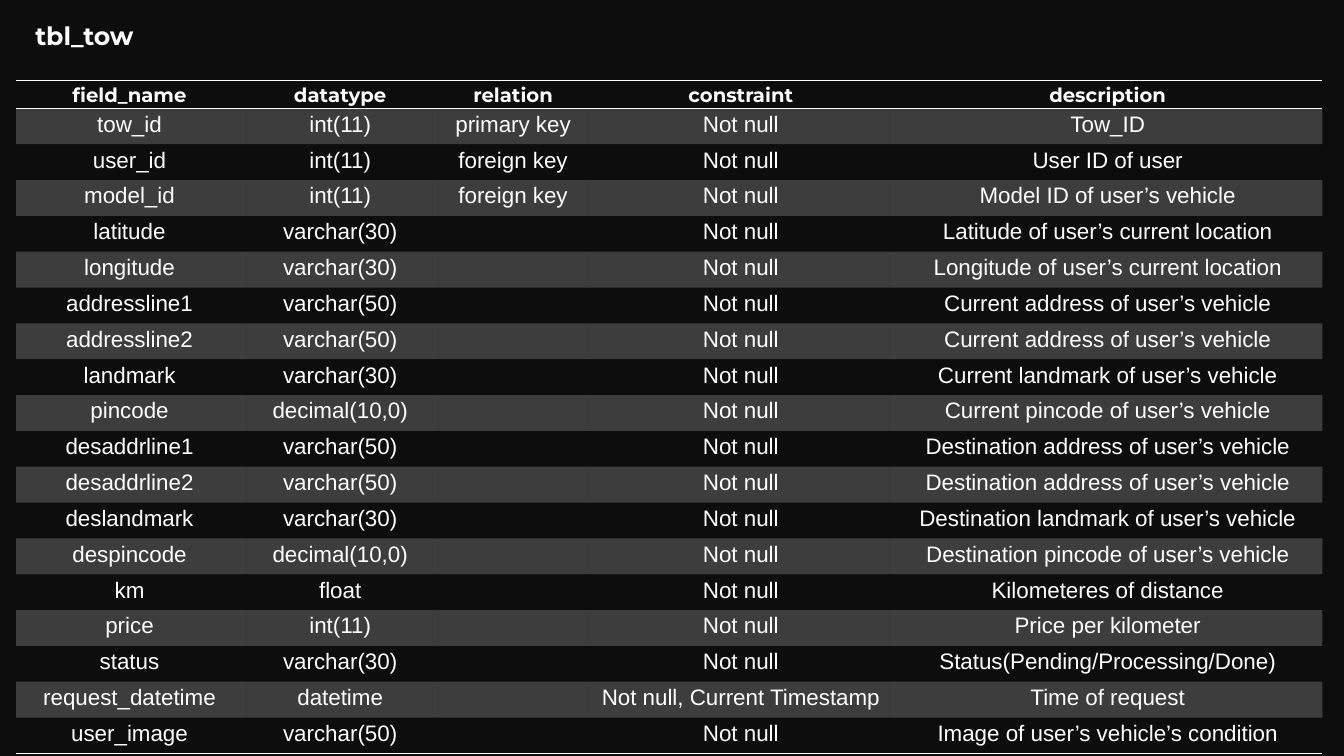
from lxml.etree import SubElement
from pptx import Presentation
from pptx.dml.color import RGBColor
from pptx.enum.text import MSO_ANCHOR, MSO_AUTO_SIZE, PP_ALIGN
from pptx.oxml.ns import qn
from pptx.util import Pt

WHITE = RGBColor(0xFF, 0xFF, 0xFF)
NIGHT = RGBColor(0x0D, 0x0D, 0x0D)
PLAIN_TABLE_STYLE = "{2D5ABB26-0587-4C30-8999-92F81FD0307C}"
HEADINGS = ("field_name", "datatype", "relation", "constraint", "description")
COLUMN_WIDTHS = (162, 139, 108, 217.4, 306.7)
FIELDS = (
    ("tow_id", "int(11)", "primary key", "Not null", "Tow_ID"),
    ("user_id", "int(11)", "foreign key", "Not null", "User ID of user"),
    ("model_id", "int(11)", "foreign key", "Not null", "Model ID of user’s vehicle"),
    ("latitude", "varchar(30)", "", "Not null", "Latitude of user’s current location"),
    ("longitude", "varchar(30)", "", "Not null", "Longitude of user’s current location"),
    ("addressline1", "varchar(50)", "", "Not null", "Current address of user’s vehicle"),
    ("addressline2", "varchar(50)", "", "Not null", "Current address of user’s vehicle"),
    ("landmark", "varchar(30)", "", "Not null", "Current landmark of user’s vehicle"),
    ("pincode", "decimal(10,0)", "", "Not null", "Current pincode of user’s vehicle"),
    ("desaddrline1", "varchar(50)", "", "Not null", "Destination address of user’s vehicle"),
    ("desaddrline2", "varchar(50)", "", "Not null", "Destination address of user’s vehicle"),
    ("deslandmark", "varchar(30)", "", "Not null", "Destination landmark of user’s vehicle"),
    ("despincode", "decimal(10,0)", "", "Not null", "Destination pincode of user’s vehicle"),
    ("km", "float", "", "Not null", "Kilometeres of distance"),
    ("price", "int(11)", "", "Not null", "Price per kilometer"),
    ("status", "varchar(30)", "", "Not null", "Status(Pending/Processing/Done)"),
    ("request_datetime", "datetime", "", "Not null, Current Timestamp", "Time of request"),
    ("user_image", "varchar(50)", "", "Not null", "Image of user’s vehicle’s condition"),
)


def write(para, text, size=16, font="Arial", bold=False, align=PP_ALIGN.CENTER, spacing=1.15, after=10):
    """Write one formatted span of text into a paragraph."""
    para.alignment = align
    para.line_spacing = spacing
    para.space_before = Pt(0)
    para.space_after = Pt(after)
    if text:
        span = para.add_run()
        span.text = text
        span.font.size = Pt(size)
        span.font.name = font
        span.font.bold = bold
        span.font.color.rgb = WHITE


class SchemaPage:
    """Hold the style and the current slide of a schema deck."""

    heading_font = "Montserrat"
    band_opacity = 20
    rule_width = 1

    def __init__(self, deck):
        """Add a dark title-only slide to the deck."""
        self.page = deck.slides.add_slide(deck.slide_layouts[5])
        self.page.background.fill.solid()
        self.page.background.fill.fore_color.rgb = NIGHT

    def title(self, text, left, top, width, height):
        """Place and format the slide title."""
        box = self.page.shapes.title
        box.left, box.top, box.width, box.height = Pt(left), Pt(top), Pt(width), Pt(height)
        frame = box.text_frame
        frame.word_wrap = False
        frame.auto_size = MSO_AUTO_SIZE.NONE
        frame.vertical_anchor = MSO_ANCHOR.MIDDLE
        write(frame.paragraphs[0], text, size=18, font=self.heading_font, bold=True,
              align=PP_ALIGN.LEFT, spacing=1.0, after=0)

    def rule(self, cell, side):
        """Draw a white border on one side of a cell."""
        line = SubElement(cell._tc.get_or_add_tcPr(), qn(f"a:ln{side}"), w=str(Pt(self.rule_width)))
        fill = SubElement(line, qn("a:solidFill"))
        SubElement(fill, qn("a:srgbClr"), val=str(WHITE))

    def shade(self, cell):
        """Fill a cell with translucent white."""
        cell.fill.solid()
        cell.fill.fore_color.rgb = WHITE
        color = cell._tc.tcPr.find(f"{qn('a:solidFill')}/{qn('a:srgbClr')}")
        SubElement(color, qn("a:alpha"), val=str(self.band_opacity * 1000))

    def table(self, headings, records, left, top, widths, heading_height, row_height):
        """Add a table with ruled headings and shaded alternate rows."""
        rows = (headings, *records)
        height = heading_height + row_height * len(records)
        frame = self.page.shapes.add_table(
            len(rows), len(widths), Pt(left), Pt(top), Pt(sum(widths)), Pt(height))
        table = frame.table
        table.horz_banding = False
        table._tbl.tblPr.find(qn("a:tableStyleId")).text = PLAIN_TABLE_STYLE
        for column, width in zip(table.columns, widths):
            column.width = Pt(width)
        for number, texts in enumerate(rows):
            heading = number == 0
            table.rows[number].height = Pt(row_height if number else heading_height)
            for position, text in enumerate(texts):
                cell = table.cell(number, position)
                cell.margin_left = cell.margin_right = Pt(5)
                cell.margin_top = cell.margin_bottom = Pt(0)
                if heading:
                    self.rule(cell, "T")
                if heading or number == len(records):
                    self.rule(cell, "B")
                if number % 2:
                    self.shade(cell)
                else:
                    cell.fill.background()
                style = {"size": 14, "font": self.heading_font, "bold": True} if heading else {}
                write(cell.text_frame.paragraphs[0], text, **style)


def main():
    """Build the deck and save it."""
    deck = Presentation()
    deck.slide_width, deck.slide_height = Pt(960), Pt(540)
    page = SchemaPage(deck)
    page.title("tbl_tow", 18, 8.5, 87, 33)
    page.table(HEADINGS, FIELDS, left=11.5, top=57.4, widths=COLUMN_WIDTHS,
               heading_height=20, row_height=25.6)
    deck.save("out.pptx")


if __name__ == "__main__":
    main()
